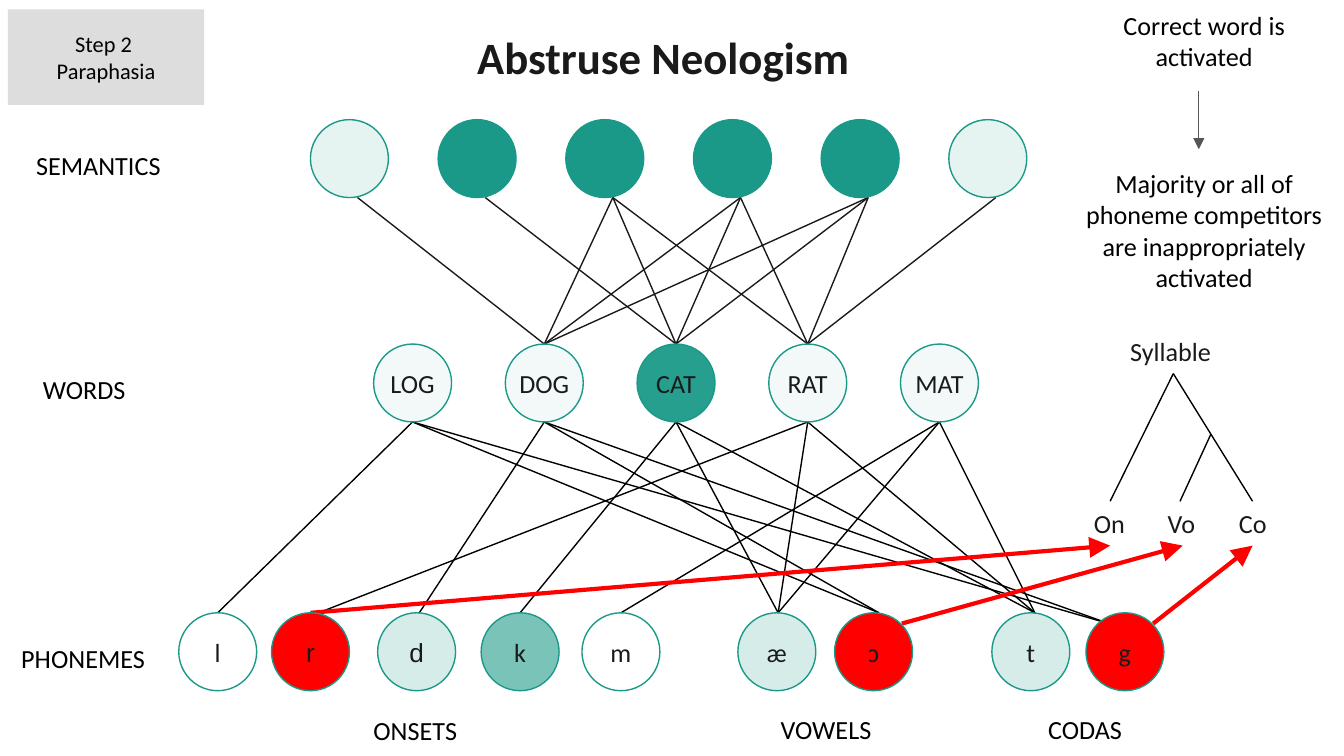
from lxml import etree
from pptx import Presentation
from pptx.dml.color import RGBColor
from pptx.enum import shapes as kinds, text as txt
from pptx.oxml.ns import qn
from pptx.util import Inches, Pt

TEAL, RED, DARK, BLACK = "1A9988", "FF0000", "1A1A1A", "000000"
SIZE = 0.58
SEM_Y, WORD_Y, PHON_Y = 0.89, 2.56, 4.56
SYL_Y, SLOT_Y = 2.78, 3.73

sems = [11, 100, 100, 100, 100, 11]
words = [("LOG", 5), ("DOG", 5), ("CAT", 94), ("RAT", 5), ("MAT", 5)]
phons = [
    ("l", 1.33, None, 0, "Calibri"),
    ("r", 2.02, RED, 100, "Arial"),
    ("d", 2.81, TEAL, 18, "Arial"),
    ("k", 3.58, TEAL, 58, "Calibri"),
    ("m", 4.33, None, 0, "Calibri"),
    ("æ", 5.49, TEAL, 18, "Calibri"),
    ("ɔ", 6.21, RED, 100, "Calibri"),
    ("t", 7.38, TEAL, 18, "Calibri"),
    ("g", 8.08, RED, 100, "Calibri"),
]
ports = {
    "l": (1.62, PHON_Y), "r": (2.37, PHON_Y), "d": (3.12, PHON_Y),
    "k": (3.87, PHON_Y), "m": (4.62, PHON_Y), "æ": (5.79, PHON_Y),
    "ɔ": (6.54, PHON_Y), "t": (7.7, PHON_Y), "g": (8.25, 4.64),
}
meanings = [
    ("DOG", [0, 2, 3, 4]),
    ("CAT", [1, 2, 3, 4]),
    ("RAT", [2, 3, 4, 5]),
]
sounds = {"LOG": "lɔg", "DOG": "dɔg", "CAT": "kæt", "RAT": "ræt", "MAT": "mæt"}
tree = [
    ((8.26, SLOT_Y), (8.73, SYL_Y)),
    ((9.32, SLOT_Y), (8.73, SYL_Y)),
    ((8.78, SLOT_Y), (9.01, 3.23)),
]
picks = [
    ((2.31, 4.56), (8.26, 4.06)),
    ((6.71, 4.64), (8.8, 4.06)),
    ((8.58, 4.64), (9.32, 4.06)),
]
labels = [
    ("Syllable", 8.31, 2.45, 0.85, DARK),
    ("On", 8.04, SLOT_Y, 0.44, DARK),
    ("Vo", 8.59, SLOT_Y, 0.42, DARK),
    ("Co", 9.12, SLOT_Y, 0.41, DARK),
    ("ONSETS", 2.68, 5.27, 0.83, BLACK),
    ("VOWELS", 5.71, 5.26, 0.89, BLACK),
    ("CODAS", 7.7, 5.26, 0.76, BLACK),
    ("SEMANTICS", 0.17, 1.06, 1.14, BLACK),
    ("WORDS", 0.22, 2.73, 0.82, BLACK),
    ("PHONEMES", 0.06, 4.73, 1.13, BLACK),
]
notes = [
    "Correct word is activated",
    "Majority or all of phoneme competitors are inappropriately activated",
]

deck = Presentation()
deck.slide_width = Inches(10)
deck.slide_height = deck.slide_width * 9 // 16
slide = deck.slides.add_slide(deck.slide_layouts[6])
items = slide.shapes


def paint(target, color):
    target.rgb = RGBColor.from_string(color)


def write(frame, lines, size=14, color=BLACK, font="Calibri", bold=False, mid=True):
    frame.text = "\n".join(lines)
    for para in frame.paragraphs:
        para.alignment = txt.PP_ALIGN.CENTER if mid else txt.PP_ALIGN.LEFT
        for run in para.runs:
            run.font.name, run.font.size, run.font.bold = font, Pt(size), bold
            paint(run.font.color, color)


def label(lines, x, y, w, h, wrap=False, **style):
    box = items.add_textbox(*map(Inches, (x, y, w, h)))
    box.text_frame.word_wrap = wrap
    write(box.text_frame, lines, **style)
    return box


def line(start, end, color=BLACK, width=0.75, head=None):
    link = items.add_connector(
        kinds.MSO_CONNECTOR.STRAIGHT, *map(Inches, (*start, *end)))
    paint(link.line.color, color)
    link.line.width = Pt(width)
    if head:
        ln = link.line._get_or_add_ln()
        etree.SubElement(ln, qn("a:tailEnd"), type="triangle", w=head, len=head)
    etree.SubElement(link._element.spPr, qn("a:effectLst"))


def node(x, y, color, alpha, name="", font="Calibri"):
    dot = items.add_shape(
        kinds.MSO_SHAPE.OVAL, *map(Inches, (x, y, SIZE, SIZE)))
    dot.shadow.inherit = False
    if color:
        dot.fill.solid()
        paint(dot.fill.fore_color, color)
        if alpha < 100:
            tone = dot._element.spPr.find(qn("a:solidFill"))[0]
            etree.SubElement(tone, qn("a:alpha"), val=str(alpha * 1000))
    else:
        dot.fill.background()
    paint(dot.line.color, TEAL)
    dot.line.width = Pt(0.75)
    if name:
        frame = dot.text_frame
        frame.margin_left = frame.margin_right = 0
        frame.margin_top = frame.margin_bottom = 0
        frame.vertical_anchor = txt.MSO_ANCHOR.MIDDLE
        write(frame, [name], color=DARK, font=font)


sem_x = [2.31 + 0.95 * i for i in range(len(sems))]
word_x = {name: 2.78 + 0.98 * i for i, (name, _) in enumerate(words)}

for word, links in meanings:
    for i in links:
        line((sem_x[i] + 0.35, SEM_Y + SIZE),
             (word_x[word] + SIZE / 2, WORD_Y), DARK)
for word, parts in sounds.items():
    for part in parts:
        line(ports[part], (word_x[word] + SIZE / 2, WORD_Y + SIZE))
for start, end in tree:
    line(start, end)
for start, end in picks:
    line(start, end, RED, 2.25, "lg")
line((8.92, 0.68), (8.92, 1.11), "565656", head="med")

for x, alpha in zip(sem_x, sems):
    node(x, SEM_Y, TEAL, alpha)
for name, alpha in words:
    node(word_x[name], WORD_Y, TEAL, alpha, name)
for name, x, color, alpha, font in phons:
    node(x, PHON_Y, color, alpha, name, font)

for name, x, y, w, color in labels:
    label([name], x, y, w, 0.34, color=color, mid=False)
label(["Abstruse Neologism"], 3.39, 0.17, 3.09, 0.5,
      size=24, color=DARK, bold=True)
note = label(notes, 7.97, 0.02, 1.98, 2.22, wrap=True)
note.text_frame.paragraphs[1].space_before = Pt(51)

step = items.add_shape(
    kinds.MSO_SHAPE.RECTANGLE, *map(Inches, (0.06, 0.07, 1.46, 0.71)))
step.shadow.inherit = False
step.fill.solid()
paint(step.fill.fore_color, "DDDDDD")
step.line.fill.background()
step.text_frame.vertical_anchor = txt.MSO_ANCHOR.MIDDLE
write(step.text_frame, ["Step 2 \vParaphasia"], size=12)

deck.save("out.pptx")
